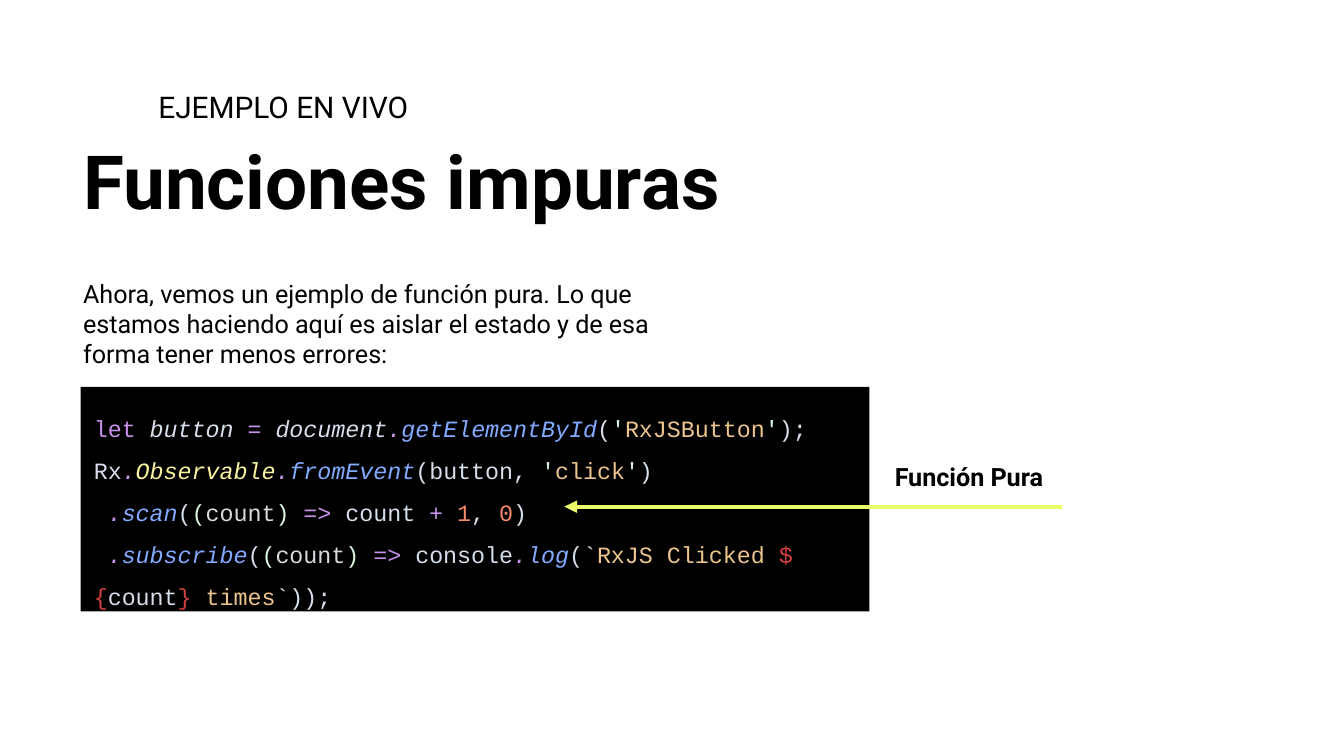
from dataclasses import dataclass

from lxml.etree import SubElement
from pptx import Presentation
from pptx.dml.color import RGBColor as RGB
from pptx.enum.shapes import MSO_CONNECTOR as CONNECTOR, MSO_SHAPE as SHAPE
from pptx.enum.text import MSO_ANCHOR as ANCHOR, MSO_AUTO_SIZE as AUTO, PP_ALIGN as ALIGN
from pptx.oxml.ns import qn
from pptx.util import Inches, Pt


@dataclass(frozen=True)
class Theme:
    """Fonts, type sizes and colours of the slide."""
    sans: str = "Roboto"
    mono: str = "Courier New"
    title: float = 40
    label: float = 16
    body: float = 13.5
    code: float = 12.5
    ink: str = "000000"
    paper: str = "FFFFFF"
    accent: str = "EAFF6A"


SYNTAX = {
    "key": ("C792EA", False),
    "dot": ("C792EA", True),
    "func": ("82AAFF", True),
    "type": ("FAF39F", True),
    "var": ("D6DEEB", True),
    "plain": ("D6DEEB", False),
    "quote": ("D9F5DD", False),
    "param": ("D7DBE0", False),
    "str": ("ECC48D", False),
    "num": ("F78C6C", False),
    "brace": ("D3423E", False),
}

ARROW_FUNCTION = [("plain", "("), ("quote", "("), ("param", "count"), ("quote", ") "), ("key", "=>")]

CODE = [
    [("key", "let "), ("var", "button "), ("key", "= "), ("var", "document"), ("dot", "."),
     ("func", "getElementById"), ("plain", "("), ("quote", "'"), ("str", "RxJSButton"),
     ("quote", "'"), ("plain", ");")],
    [("plain", "Rx"), ("dot", "."), ("type", "Observable"), ("dot", "."), ("func", "fromEvent"),
     ("plain", "(button, "), ("quote", "'"), ("str", "click"), ("quote", "'"), ("plain", ")")],
    [("plain", " "), ("dot", "."), ("func", "scan"), *ARROW_FUNCTION, ("plain", " count "),
     ("key", "+ "), ("num", "1"), ("plain", ", "), ("num", "0"), ("plain", ")")],
    [("plain", " "), ("dot", "."), ("func", "subscribe"), *ARROW_FUNCTION, ("plain", " console"),
     ("dot", "."), ("func", "log"), ("plain", "(`"), ("str", "RxJS Clicked "), ("brace", "${"),
     ("plain", "count"), ("brace", "}"), ("str", " times"), ("plain", "`));")],
]


def add_run(p, text, *, size, font, color, bold=False, italic=False):
    """Append a formatted run to a paragraph."""
    r = p.add_run()
    r.text = text
    r.font.size, r.font.name = Pt(size), font
    r.font.bold, r.font.italic = bold, italic
    r.font.color.rgb = RGB.from_string(color)


class Deck:
    """Holds the theme and the current slide."""

    def __init__(self, prs, theme):
        """Start a title-only slide on a plain background."""
        self.theme = theme
        self.s = prs.slides.add_slide(prs.slide_layouts[5])
        fill = self.s.background.fill
        fill.solid()
        fill.fore_color.rgb = RGB.from_string(theme.paper)

    def frame(self, sp):
        """Return the text frame of a shape with the common settings."""
        tf = sp.text_frame
        tf.word_wrap, tf.auto_size = True, AUTO.NONE
        tf.vertical_anchor = ANCHOR.TOP
        tf.margin_left = tf.margin_right = tf.margin_top = tf.margin_bottom = Inches(0.1)
        return tf

    def title(self, text, x, y, w, h):
        """Place and format the title placeholder."""
        sp = self.s.shapes.title
        sp.left, sp.top, sp.width, sp.height = map(Inches, (x, y, w, h))
        p = self.frame(sp).paragraphs[0]
        p.alignment, p.line_spacing = ALIGN.LEFT, 0.9
        add_run(p, text, size=self.theme.title, font=self.theme.sans, color=self.theme.ink, bold=True)

    def text(self, text, x, y, w, h, *, size, bold=False, after=0):
        """Add a text box with one paragraph."""
        p = self.frame(self.s.shapes.add_textbox(*map(Inches, (x, y, w, h)))).paragraphs[0]
        p.space_after = Pt(after)
        add_run(p, text, size=size, font=self.theme.sans, color=self.theme.ink, bold=bold)

    def code(self, lines, x, y, w, h):
        """Add a dark panel with highlighted code."""
        sp = self.s.shapes.add_shape(SHAPE.RECTANGLE, *map(Inches, (x, y, w, h)))
        sp.shadow.inherit = False
        sp.fill.solid()
        sp.fill.fore_color.rgb = RGB.from_string(self.theme.ink)
        sp.line.fill.background()
        tf = self.frame(sp)
        for i, tokens in enumerate(lines):
            p = tf.add_paragraph() if i else tf.paragraphs[0]
            p.alignment, p.line_spacing = ALIGN.LEFT, 1.5
            for kind, text in tokens:
                color, italic = SYNTAX[kind]
                add_run(p, text, size=self.theme.code, font=self.theme.mono, color=color, italic=italic)

    def arrow(self, x1, y1, x2, y2):
        """Add a straight arrow pointing at its end."""
        c = self.s.shapes.add_connector(CONNECTOR.STRAIGHT, *map(Inches, (x1, y1, x2, y2)))
        c.line.color.rgb = RGB.from_string(self.theme.accent)
        c.line.width = Pt(2.25)
        props = c._element.spPr
        SubElement(props.find(qn("a:ln")), qn("a:tailEnd"), type="triangle")
        SubElement(props, qn("a:effectLst"))


def main():
    """Build the slide and save it."""
    prs = Presentation()
    prs.slide_width = Inches(10)
    prs.slide_height = prs.slide_width * 9 // 16
    theme = Theme()
    deck = Deck(prs, theme)
    deck.text("EJEMPLO EN VIVO", 1.08, 0.56, 3.19, 0.47, size=theme.label)
    deck.text("Ahora, vemos un ejemplo de función pura. Lo que estamos haciendo aquí es aislar "
              "el estado y de esa forma tener menos errores:",
              0.52, 1.97, 4.72, 0.89, size=theme.body, after=10)
    deck.code(CODE, 0.6, 2.88, 5.87, 1.67)
    deck.text("Función Pura", 6.56, 3.33, 1.43, 0.38, size=theme.body, bold=True, after=10)
    deck.arrow(7.9, 3.77, 4.2, 3.77)
    deck.title("Funciones impuras", 0.52, 0.98, 5.37, 0.81)
    prs.save("out.pptx")


if __name__ == "__main__":
    main()
